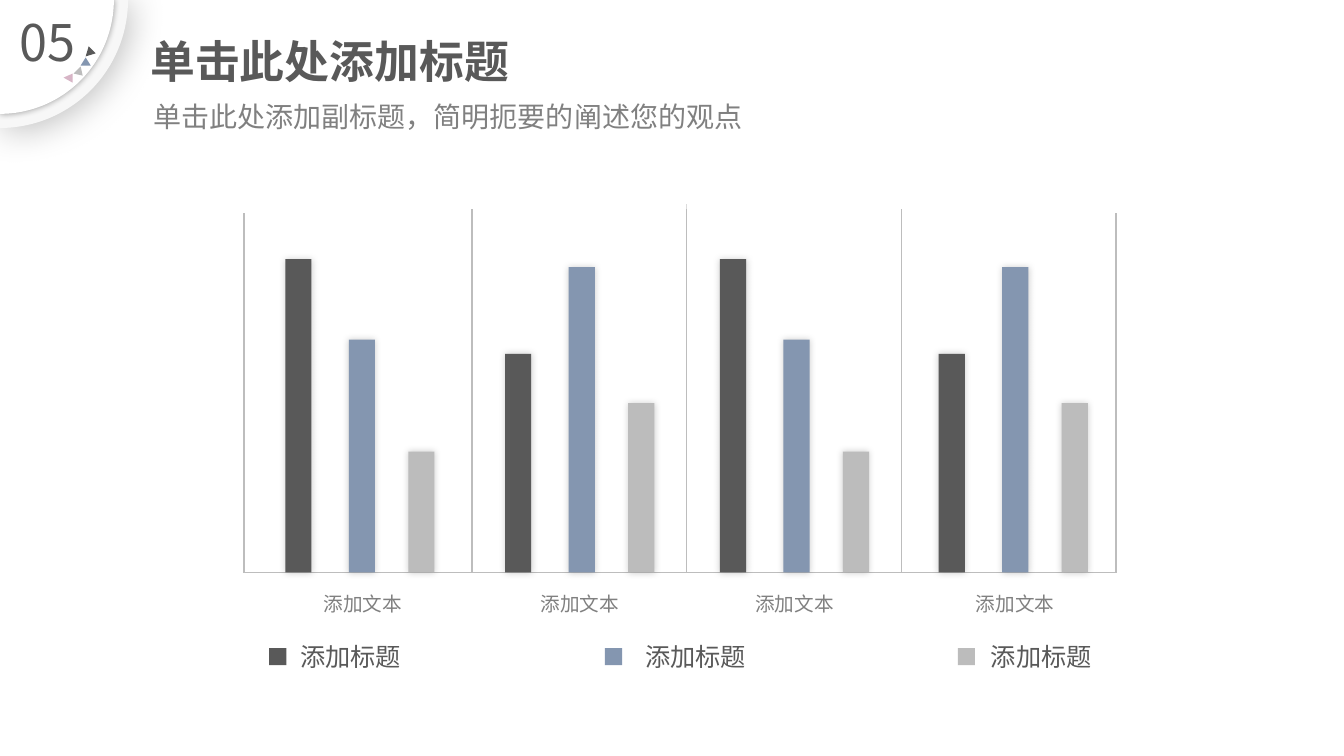
import math
import lxml.etree
import pptx
import pptx.dml.color
import pptx.enum.shapes
import pptx.enum.text
import pptx.oxml.ns
import pptx.util

PX = 9144  # 100 px to the inch
FACE = "Noto Sans CJK SC"
DARK, BLUE, GREY, PINK = "595959", "8496B0", "BCBCBC", "D7B5C6"
PALE, SOFT, RULE, FAINT = "F7F7F7", "808080", "BDBDBD", "DCDCDC"
ALIGN = pptx.enum.text.PP_ALIGN
ANCHOR = pptx.enum.text.MSO_ANCHOR
RECT = pptx.enum.shapes.MSO_SHAPE.RECTANGLE
LINE = pptx.enum.shapes.MSO_CONNECTOR.STRAIGHT
qn = pptx.oxml.ns.qn


def hue(code):
    return pptx.dml.color.RGBColor.from_string(code)


def outline(points):
    spots = [(round(x * PX), round(y * PX)) for x, y in points]
    pen = slide.shapes.build_freeform(*spots[0], scale=1.0)
    pen.add_line_segments(spots[1:], close=True)
    return pen.convert_to_shape()


deck = pptx.Presentation()
deck.slide_width, deck.slide_height = 1333 * PX, 750 * PX
slide = deck.slides.add_slide(deck.slide_layouts[0])
shapes = slide.shapes
solids = []  # shape, colour, shadow (opacity %, blur pt, distance pt, angle)

# Corner badge: two quarter discs and four small triangles
for size, code, shade in [(127, PALE, (25, 26, 3, 45)),
                          (113, "FFFFFF", (40, 5, 0, 0))]:
    arc = [(size * math.cos(math.radians(a)), size * math.sin(math.radians(a)))
           for a in range(0, 91, 2)]
    solids.append((outline([(0, 0)] + arc), code, shade))
for points, code in [([(95, 53), (85, 56), (88, 46)], DARK),
                     ([(90, 65), (80, 65), (85, 57)], BLUE),
                     ([(82, 75), (73, 73), (80, 66)], GREY),
                     ([(72, 82), (63, 77), (72, 73)], PINK)]:
    solids.append((outline(points), code, None))

# Base line and dividers
BASE, FIRST, LAST = 568, 242, 1107
rules = [(FIRST, BASE, LAST, BASE, RULE), (681, 558, 681, 202, FAINT)]
rules += [(x, BASE, x, top, RULE) for x, top in
          [(FIRST, 211), (468, 207), (681, 207), (894, 207), (LAST, 211)]]
for x1, y1, x2, y2, code in rules:
    rule = shapes.add_connector(LINE, x1 * PX, y1 * PX, x2 * PX, y2 * PX)
    rule.line.width = pptx.util.Pt(1)
    rule.line.color.rgb = hue(code)
    lxml.etree.SubElement(rule._element.spPr, qn("a:effectLst"))

# Bars: two patterns of heights take turns
HEIGHTS = [(311, 231, 120), (217, 303, 168)]
for i, left in enumerate([283, 501, 714, 931]):
    for step, tall, code in zip((0, 63, 122), HEIGHTS[i % 2], (DARK, BLUE, GREY)):
        bar = shapes.add_shape(RECT, (left + step) * PX, (BASE - tall) * PX,
                               26 * PX, tall * PX)
        solids.append((bar, code, (20, 5, 0, 0)))

# Legend swatches
for x, code in [(267, DARK), (600, BLUE), (950, GREY)]:
    swatch = shapes.add_shape(RECT, x * PX, 643 * PX, 17 * PX, 17 * PX)
    solids.append((swatch, code, None))

# Fill and shadow
for shape, code, shade in solids:
    shape.fill.solid()
    shape.fill.fore_color.rgb = hue(code)
    shape.line.fill.background()
    shape.shadow.inherit = False
    if shade:
        alpha, blur, dist, turn = shade
        glow = lxml.etree.SubElement(
            shape._element.spPr.find(qn("a:effectLst")), qn("a:outerShdw"),
            blurRad=str(blur * 12700), dist=str(dist * 12700),
            dir=str(turn * 60000), algn="ctr", rotWithShape="0")
        black = lxml.etree.SubElement(glow, qn("a:srgbClr"), val="000000")
        lxml.etree.SubElement(black, qn("a:alpha"), val=str(alpha * 1000))

# Texts: holder, words, place, size, colour, bold, align, anchor, spacing
head, sub = slide.placeholders
texts = [
    (head, "单击此处添加标题", (139, 41, 618, 52), 32, DARK, True,
     ALIGN.LEFT, ANCHOR.BOTTOM, 0.9),
    (sub, "单击此处添加副标题，简明扼要的阐述您的观点", (142, 97, 616, 38), 20,
     SOFT, False, ALIGN.LEFT, ANCHOR.TOP, 0.9),
    (None, "05", (4, 6, 87, 71), 36, DARK, False,
     ALIGN.CENTER, ANCHOR.TOP, 1.0)]
texts += [(None, "添加文本", (x, 582, 142, 34), 14, SOFT, False,
           ALIGN.CENTER, ANCHOR.MIDDLE, 1.0) for x in (289, 504, 717, 936)]
texts += [(None, "添加标题", (x, 633, wide, 37), 18, DARK, False,
           ALIGN.LEFT, ANCHOR.MIDDLE, 1.0)
          for x, wide in [(288, 250), (630, 250), (973, 136)]]

for box, words, place, size, code, bold, align, anchor, gap in texts:
    spot = [n * PX for n in place]
    box = box or shapes.add_textbox(*spot)
    frame = box.text_frame
    frame.text = words
    para = frame.paragraphs[0]
    font = para.runs[0].font
    looks = [
        (box, dict(zip(("left", "top", "width", "height"), spot))),
        (frame, {"word_wrap": True, "vertical_anchor": anchor,
                 "auto_size": pptx.enum.text.MSO_AUTO_SIZE.NONE}),
        (para, {"alignment": align, "line_spacing": gap,
                "space_before": pptx.util.Pt(0)}),
        (font, {"name": FACE, "size": pptx.util.Pt(size), "bold": bold})]
    for part, values in looks:
        for key, value in values.items():
            setattr(part, key, value)
    font.color.rgb = hue(code)
    # East Asian typeface
    lxml.etree.SubElement(font._element, qn("a:ea"), typeface=FACE)

deck.save("out.pptx")
